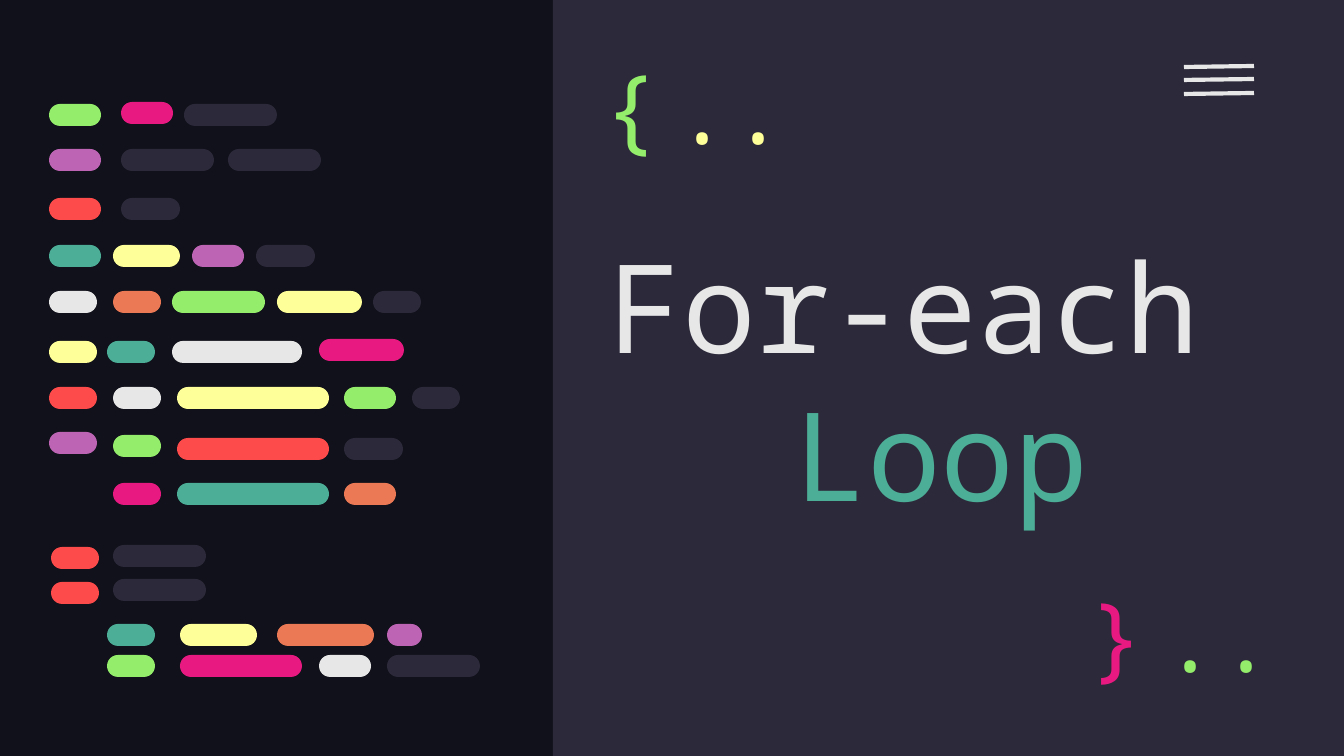
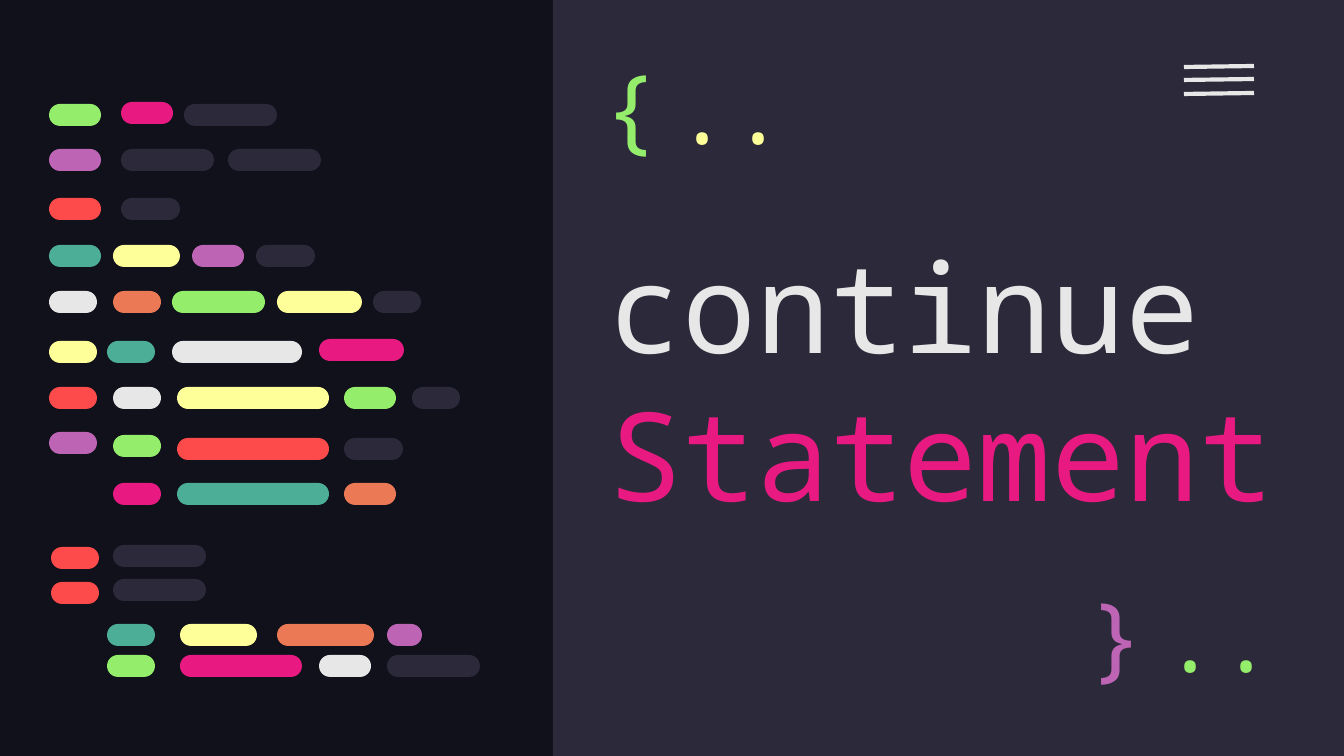
from lxml.etree import SubElement
from pptx import Presentation
from pptx.dml.color import RGBColor
from pptx.enum.shapes import MSO_CONNECTOR, MSO_SHAPE
from pptx.enum.text import MSO_ANCHOR, PP_ALIGN
from pptx.oxml.ns import qn
from pptx.util import Pt

EMU_PER_PX = 914400 / 134.4
WIDTH, HEIGHT = 1344, 756
FONT = "Noto Sans Mono"

NIGHT = "10111A"
SLATE = "2C293A"
WHITE = "E7E7E7"
GREEN = "94EE6B"
PINK = "E81A81"
PURPLE = "BD64B5"
RED = "FD4A4A"
TEAL = "4CAE97"
YELLOW = "FFFF99"
ORANGE = "EC7955"

BAR_HEIGHT = 22
# Each row: top, then (left, width, colour) for every bar on it.
CODE_ROWS = [
    (104, [(49, 52, GREEN), (184, 93, SLATE)]),
    (102, [(121, 52, PINK)]),
    (149, [(49, 52, PURPLE), (121, 93, SLATE), (228, 93, SLATE)]),
    (198, [(49, 52, RED), (121, 59, SLATE)]),
    (245, [(49, 52, TEAL), (113, 67, YELLOW), (192, 52, PURPLE), (256, 59, SLATE)]),
    (291, [(49, 48, WHITE), (113, 48, ORANGE), (172, 93, GREEN),
           (277, 85, YELLOW), (373, 48, SLATE)]),
    (341, [(49, 48, YELLOW), (107, 48, TEAL), (172, 130, WHITE)]),
    (339, [(319, 85, PINK)]),
    (387, [(49, 48, RED), (113, 48, WHITE), (177, 152, YELLOW),
           (344, 52, GREEN), (412, 48, SLATE)]),
    (432, [(49, 48, PURPLE)]),
    (435, [(113, 48, GREEN)]),
    (438, [(177, 152, RED), (344, 59, SLATE)]),
    (483, [(113, 48, PINK), (177, 152, TEAL), (344, 52, ORANGE)]),
    (547, [(51, 48, RED)]),
    (545, [(113, 93, SLATE)]),
    (582, [(51, 48, RED)]),
    (579, [(113, 93, SLATE)]),
    (624, [(107, 48, TEAL), (180, 77, YELLOW), (277, 97, ORANGE), (387, 35, PURPLE)]),
    (655, [(107, 48, GREEN), (180, 122, PINK), (319, 52, WHITE), (387, 93, SLATE)]),
]

# First title line, second title line, its colour, closing brace colour.
SECTIONS = [
    ("For-each ", "Loop", TEAL, PINK),
    ("continue ", "Statement", PINK, PURPLE),
]


def px(length):
    return round(length * EMU_PER_PX)


def rgb(colour):
    return RGBColor.from_string(colour)


def add_block(shapes, kind, left, top, width, height, colour):
    block = shapes.add_shape(kind, px(left), px(top), px(width), px(height))
    block.shadow.inherit = False
    block.fill.solid()
    block.fill.fore_color.rgb = rgb(colour)
    block.line.fill.background()
    return block


def add_text(slide, area, text, size, colours, align=PP_ALIGN.LEFT, anchor=MSO_ANCHOR.TOP):
    """Write one paragraph whose runs take the colours in turn."""
    box = slide.shapes.add_textbox(*map(px, area))
    frame = box.text_frame
    frame.word_wrap = True
    frame.vertical_anchor = anchor
    frame.margin_left = frame.margin_right = px(13)
    frame.margin_top = frame.margin_bottom = px(13)
    para = frame.paragraphs[0]
    para.text = text
    para.alignment = align
    for span, colour in zip(para.runs, colours):
        span.font.name = FONT
        span.font.size = Pt(size)
        span.font.color.rgb = rgb(colour)


def add_menu_icon(slide):
    icon = slide.shapes.add_group_shape()
    for top in (66, 79, 93):
        stroke = icon.shapes.add_connector(
            MSO_CONNECTOR.STRAIGHT, px(1184), px(top + 1), px(1254), px(top))
        stroke.line.color.rgb = rgb(WHITE)
        stroke.line.width = Pt(2.25)
        SubElement(stroke._element.spPr, qn("a:effectLst"))


def add_code_bars(slide):
    code = slide.shapes.add_group_shape()
    for top, bars in CODE_ROWS:
        for left, width, colour in bars:
            bar = add_block(code.shapes, MSO_SHAPE.ROUNDED_RECTANGLE,
                            left, top, width, BAR_HEIGHT, colour)
            bar.adjustments[0] = 0.5


def add_section(deck, first_line, second_line, accent, brace_colour):
    slide = deck.slides.add_slide(deck.slide_layouts[6])
    slide.background.fill.solid()
    slide.background.fill.fore_color.rgb = rgb(NIGHT)
    add_block(slide.shapes, MSO_SHAPE.RECTANGLE, 553, 0, WIDTH - 553, HEIGHT, SLATE)
    add_menu_icon(slide)
    add_text(slide, (538, 192, 806, 372), f"{first_line}\v{second_line}", 66,
             [WHITE, accent], PP_ALIGN.CENTER, MSO_ANCHOR.MIDDLE)
    add_code_bars(slide)
    add_text(slide, (590, 36, 103, 128), "{", 50, [GREEN])
    add_text(slide, (1075, 564, 77, 112), "}", 50, [brace_colour])
    for left, top, colour in ((1144, 595, GREEN), (656, 67, YELLOW)):
        add_text(slide, (left, top, 144, 81), "..", 50, [colour],
                 PP_ALIGN.RIGHT, MSO_ANCHOR.MIDDLE)


def main():
    deck = Presentation()
    deck.slide_width, deck.slide_height = px(WIDTH), px(HEIGHT)
    for section in SECTIONS:
        add_section(deck, *section)
    deck.save("out.pptx")


if __name__ == "__main__":
    main()
